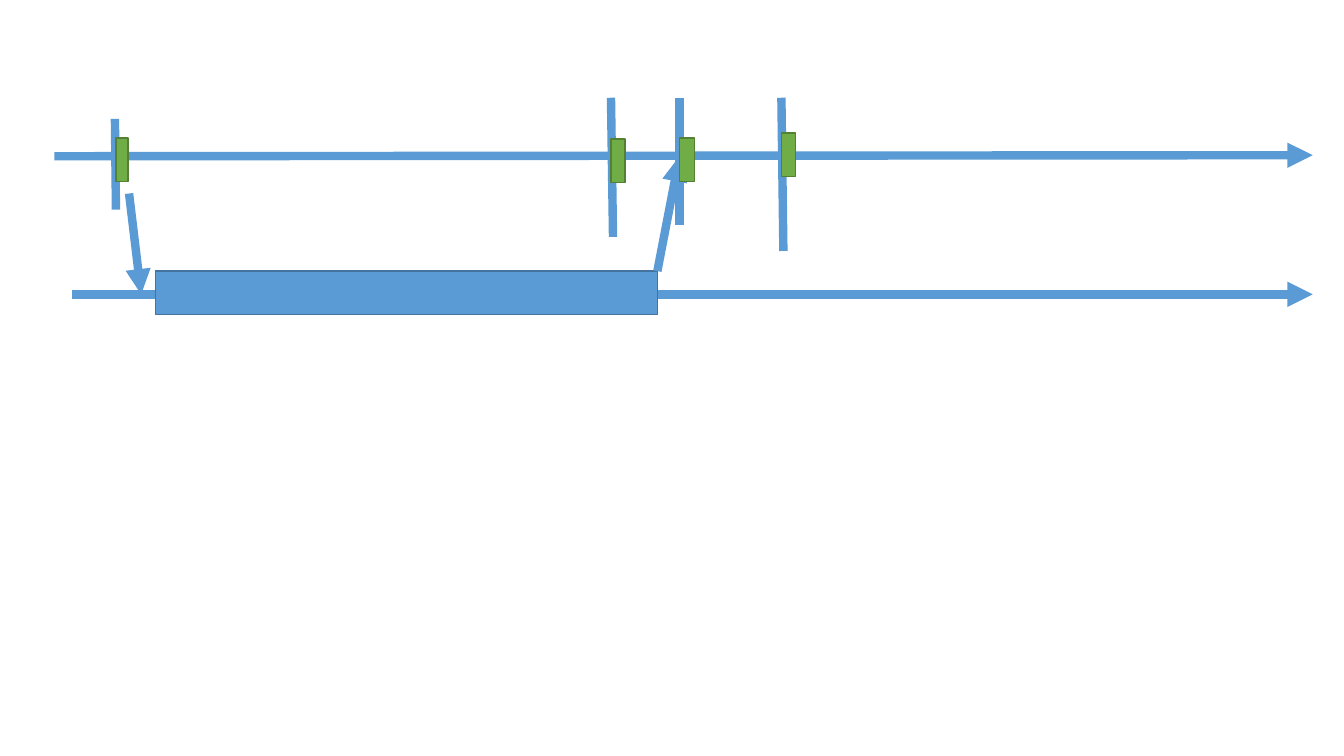
from collections import namedtuple

from lxml import etree
from pptx import Presentation
from pptx.dml.color import RGBColor
from pptx.enum.shapes import MSO_CONNECTOR, MSO_SHAPE
from pptx.oxml.ns import qn
from pptx.util import Inches, Pt

STRAIGHT = MSO_CONNECTOR.STRAIGHT
RECTANGLE = MSO_SHAPE.RECTANGLE
COLORS = {
    "lane": "5B9BD5",
    "lane_border": "43739E",
    "marker": "70AD47",
    "marker_border": "538035",
}
CELL = 0.1  # inches per grid column and row
COLUMNS, ROWS = 133.3, 75
BAR_HEIGHT = 4.3

Box = namedtuple("Box", "left top width height")
Event = namedtuple("Event", "x top bottom lean marker_x marker_top marker_width")

UPPER_LANE = Box(5.4, 9.7, 124.8, 15.2)
LOWER_LANE = Box(7.1, 26.9, 123.1, BAR_HEIGHT)
HANDOVER = Box(12.8, 15.5, 54.6, 13.7)

# Positions are grid cells from the upper lane's top left corner
EVENTS = [
    Event(6.0, 2.1, 11.1, 0.1, 6.1, 4.0, 1.2),
    Event(55.2, 0, 13.8, 0.2, 55.2, 4.1, 1.4),
    Event(62.0, 0, 12.6, 0, 62.0, 4.0, 1.5),
    Event(72.1, 0, 15.2, 0.2, 72.1, 3.5, 1.4),
]


def grid(cells):
    """Convert grid cells to a slide length."""
    return Inches(cells * CELL)


def color(name):
    """Look up a named colour."""
    return RGBColor.from_string(COLORS[name])


def format_line(line, color_name, width):
    """Set a line's colour and width."""
    line.color.rgb = color(color_name)
    formats = {"width": Pt(width)}
    for name, value in formats.items():
        setattr(line, name, value)


def add_line(slide, box, start, end, arrow=False):
    """Draw a thick line between two points given relative to the box."""
    points = [grid(origin + offset)
              for point in (start, end)
              for origin, offset in zip((box.left, box.top), point)]
    connector = slide.shapes.add_connector(STRAIGHT, *points)
    format_line(connector.line, "lane", 6)
    properties = connector._element.spPr
    if arrow:
        outline = properties.find(qn("a:ln"))
        etree.SubElement(outline, qn("a:tailEnd"), type="triangle")
    etree.SubElement(properties, qn("a:effectLst"))


def add_bar(slide, box, x, y, width, color_name):
    """Draw a bordered bar at a place relative to the box."""
    shape = slide.shapes.add_shape(
        RECTANGLE, grid(box.left + x), grid(box.top + y),
        grid(width), grid(BAR_HEIGHT))
    shape.shadow.inherit = False
    shape.fill.solid()
    shape.fill.fore_color.rgb = color(color_name)
    format_line(shape.line, color_name + "_border", 1)


def add_lower_lane(slide, box):
    """Draw the lower time axis with its long task."""
    middle = 2.3
    add_line(slide, box, (0, middle), (box.width, middle), arrow=True)
    add_bar(slide, box, 8.3, 0, 49.8, "lane")


def add_handover(slide, box):
    """Draw the arrows leading down to the task and back up."""
    add_line(slide, box, (0, 3.7), (1.2, box.height), arrow=True)
    add_line(slide, box, (52.4, 11.4), (box.width, 0), arrow=True)


def add_upper_lane(slide, box):
    """Draw the upper time axis with its ticks and event markers."""
    add_line(slide, box, (0, 5.8), (box.width, 5.7), arrow=True)
    for event in EVENTS:
        add_line(slide, box, (event.x, event.top),
                 (event.x + event.lean, event.bottom))
        add_bar(slide, box, event.marker_x, event.marker_top,
                event.marker_width, "marker")


def build_timeline(presentation):
    """Add the slide with both time axes."""
    slide = presentation.slides.add_slide(presentation.slide_layouts[6])
    add_lower_lane(slide, LOWER_LANE)
    add_handover(slide, HANDOVER)
    add_upper_lane(slide, UPPER_LANE)


presentation = Presentation()
presentation.slide_width = grid(COLUMNS)
presentation.slide_height = grid(ROWS)
build_timeline(presentation)
presentation.save("out.pptx")
